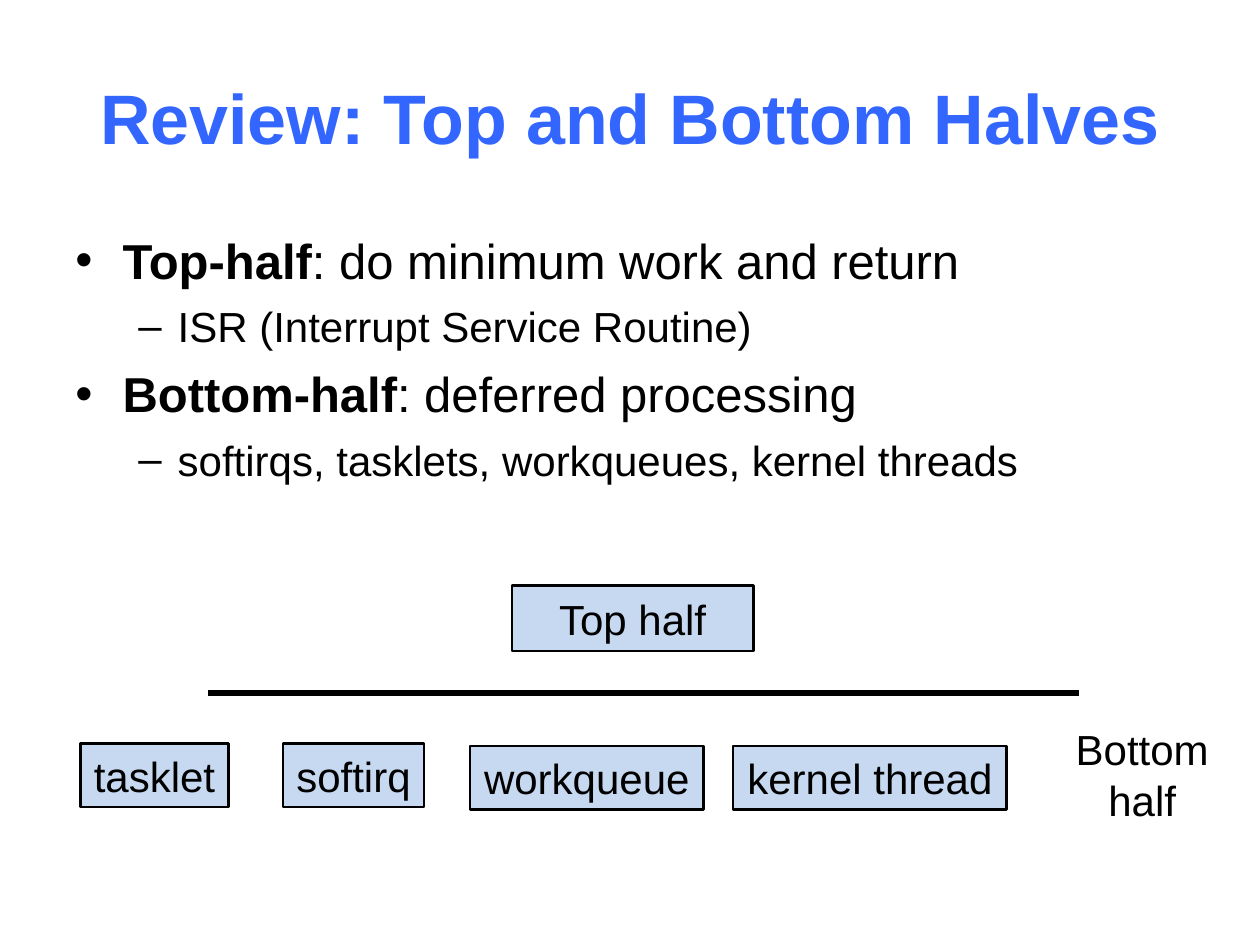
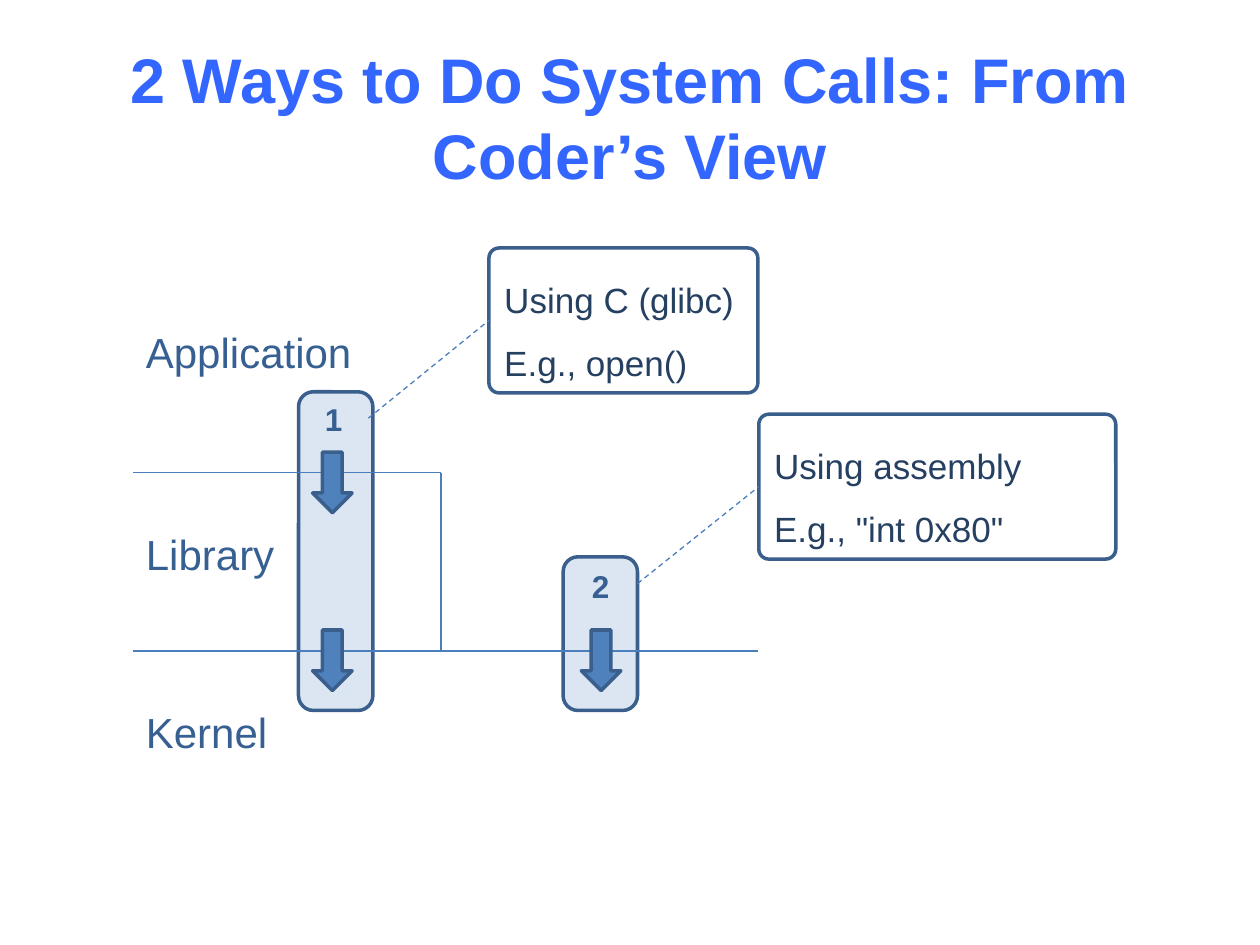
from lxml.etree import SubElement
from pptx import Presentation
from pptx.dml.color import RGBColor
from pptx.enum.dml import MSO_LINE
from pptx.enum.shapes import MSO_CONNECTOR, MSO_SHAPE
from pptx.enum.text import MSO_ANCHOR, PP_ALIGN
from pptx.oxml.ns import qn
from pptx.util import Pt

COLORS = {
    "title": "3366FF",
    "ink": "000000",
    "half": "C6D9F1",
    "bar": "DCE6F2",
    "arrow": "4F81BD",
    "outline": "3A5F8C",
    "divider": "4B7EBC",
    "layer": "376092",
    "callout": "254061",
}
BULLETS = [
    {"char": "•", "margin": 27, "hang": 27, "size": 28, "before": 7.5},
    {"char": "–", "margin": 58.5, "hang": 22.5, "size": 24, "before": 6.5},
]
TITLE_FONT = {"size": Pt(40), "bold": True}
LABEL_FONT = {"size": Pt(24)}
NUMBER_FONT = {"size": Pt(18), "bold": True}
CALLOUT_FONT = {"size": Pt(20)}
CENTERED = {"alignment": PP_ALIGN.CENTER}


def color(name):
    return RGBColor.from_string(COLORS[name])


def apply(target, values):
    for attribute, value in values.items():
        setattr(target, attribute, value)


def add_run(paragraph, text, ink, font):
    run = paragraph.add_run()
    run.text = text
    apply(run.font, {"name": "Arial", **font})
    run.font.color.rgb = color(ink)


def write(shape, lines, ink, font, paragraph_format, frame_format):
    """Fill a shape with one paragraph per line, all in the same format."""
    frame = shape.text_frame
    apply(frame, {"word_wrap": True, **frame_format})
    for index, line in enumerate(lines):
        paragraph = frame.add_paragraph() if index else frame.paragraphs[0]
        apply(paragraph, paragraph_format)
        add_run(paragraph, line, ink, font)


def add_label(slide, text, box, ink, font, paragraph_format, **frame_format):
    label = slide.shapes.add_textbox(*map(Pt, box))
    write(label, [text], ink, font, paragraph_format, frame_format)


def add_title(slide, text, **font):
    add_label(slide, text, (36, 21.6, 648, 90), "title", {**TITLE_FONT, **font},
              CENTERED, vertical_anchor=MSO_ANCHOR.MIDDLE)


def add_bullets(slide, box, items):
    """Each item is a level, a bold lead and the plain text after it."""
    frame = slide.shapes.add_textbox(*map(Pt, box)).text_frame
    frame.word_wrap = True
    for index, (level, lead, rest) in enumerate(items):
        style = BULLETS[level]
        paragraph = frame.add_paragraph() if index else frame.paragraphs[0]
        paragraph.level = level
        if index:
            paragraph.space_before = Pt(style["before"])
        properties = paragraph._p.get_or_add_pPr()
        properties.set("marL", str(Pt(style["margin"])))
        properties.set("indent", str(-Pt(style["hang"])))
        SubElement(properties, qn("a:buFont"), typeface="Arial")
        SubElement(properties, qn("a:buChar"), char=style["char"])
        for text, bold in ((lead, True), (rest, False)):
            if text:
                add_run(paragraph, text, "ink", {"size": Pt(style["size"]), "bold": bold})


def add_figure(slide, kind, box, fill, outline, weight, corner=None):
    figure = slide.shapes.add_shape(kind, *map(Pt, box))
    figure.shadow.inherit = False
    if corner is not None:
        figure.adjustments[0] = corner
    if fill:
        figure.fill.solid()
        figure.fill.fore_color.rgb = color(fill)
    else:
        figure.fill.background()
    figure.line.color.rgb = color(outline)
    figure.line.width = Pt(weight)
    return figure


def add_line(slide, start, end, ink, **line_format):
    line = slide.shapes.add_connector(MSO_CONNECTOR.STRAIGHT, *map(Pt, start + end))
    SubElement(line._element.spPr, qn("a:effectLst"))
    line.line.color.rgb = color(ink)
    apply(line.line, line_format)


def add_half_box(slide, text, box, wrap=False):
    half = add_figure(slide, MSO_SHAPE.RECTANGLE, box, "half", "ink", 1.5)
    write(half, [text], "ink", LABEL_FONT, CENTERED,
          {"word_wrap": wrap, "vertical_anchor": MSO_ANCHOR.MIDDLE})


def add_bar(slide, left, top, bottom):
    add_figure(slide, MSO_SHAPE.ROUNDED_RECTANGLE, (left, top, 42.5, bottom - top),
               "bar", "outline", 2, 0.2)


def add_down_arrow(slide, left, top):
    add_figure(slide, MSO_SHAPE.DOWN_ARROW, (left, top, 22.6, 34.6), "arrow", "outline", 2)


def add_callout(slide, lines, left, top, width, bar_point):
    """Draw a callout and the dashed leader from a bar to its left side."""
    height = 82.8
    callout = add_figure(slide, MSO_SHAPE.ROUNDED_RECTANGLE, (left, top, width, height),
                         None, "outline", 2, 0.07)
    write(callout, lines, "callout", CALLOUT_FONT,
          {"alignment": PP_ALIGN.LEFT, "line_spacing": 1.5},
          {"vertical_anchor": MSO_ANCHOR.MIDDLE})
    add_line(slide, bar_point, (left, top + height / 2), "divider",
             width=Pt(0.75), dash_style=MSO_LINE.DASH)


def build_halves(slide):
    add_title(slide, "Review: Top and Bottom Halves")
    add_bullets(slide, (36, 128, 648, 333), [
        (0, "Top-half", ": do minimum work and return"),
        (1, "", "ISR (Interrupt Service Routine)"),
        (0, "Bottom-half", ": deferred processing"),
        (1, "", "softirqs, tasklets, workqueues, kernel threads"),
    ])
    add_half_box(slide, "Top half", (292.5, 334.6, 138, 37.4), wrap=True)
    add_line(slide, (119, 396), (616.5, 396), "ink", width=Pt(3))
    for mechanism, left, top, width in (
        ("tasklet", 46, 424.8, 84.5),
        ("softirq", 161.8, 424.8, 80.5),
        ("workqueue", 268.6, 426.4, 133.4),
        ("kernel thread", 419, 426.4, 156.3),
    ):
        add_half_box(slide, mechanism, (left, top, width, 36.4))
    add_label(slide, "Bottom half", (604.8, 410, 95.8, 65.5), "ink", LABEL_FONT, CENTERED)


def build_system_calls(slide):
    library_top, kernel_top, bar_bottom = 270, 372, 406
    layers_left, library_right = 76.3, 252
    add_bar(slide, 321.8, 318.2, bar_bottom)
    add_bar(slide, 170.6, 223.9, bar_bottom)
    add_title(slide, "2 Ways to Do System Calls: From Coder’s View", size=Pt(36))

    for start, end in (
        ((layers_left, kernel_top), (433.4, kernel_top)),
        ((layers_left, library_top), (library_right, library_top)),
        ((library_right, library_top), (library_right, kernel_top)),
    ):
        add_line(slide, start, end, "divider", width=Pt(0.75))
    for layer, top in (("Application", 183), ("Library", 298.4), ("Kernel", 400.4)):
        add_label(slide, layer, (layers_left, top, 153.4, 36.4), "layer", LABEL_FONT, {})

    for left, top in ((178.6, 360), (332.2, 360), (178.6, 258.4)):
        add_down_arrow(slide, left, top)
    for number, left, top in (("1", 170.8, 224.8), ("2", 323.4, 320.3)):
        add_label(slide, number, (left, top, 39.6, 29), "layer", NUMBER_FONT, CENTERED)

    add_callout(slide, ["Using C (glibc)", "E.g., open()"], 279.4, 141.7, 153.7, (210.5, 239))
    add_callout(slide, ["Using assembly", 'E.g., "int 0x80"'], 433.6, 236.7, 204, (364.3, 333.5))


def main():
    deck = Presentation()
    deck.slide_width, deck.slide_height = Pt(720), Pt(540)
    blank = deck.slide_layouts[6]
    for build in (build_halves, build_system_calls):
        build(deck.slides.add_slide(blank))
    deck.save("out.pptx")


if __name__ == "__main__":
    main()
